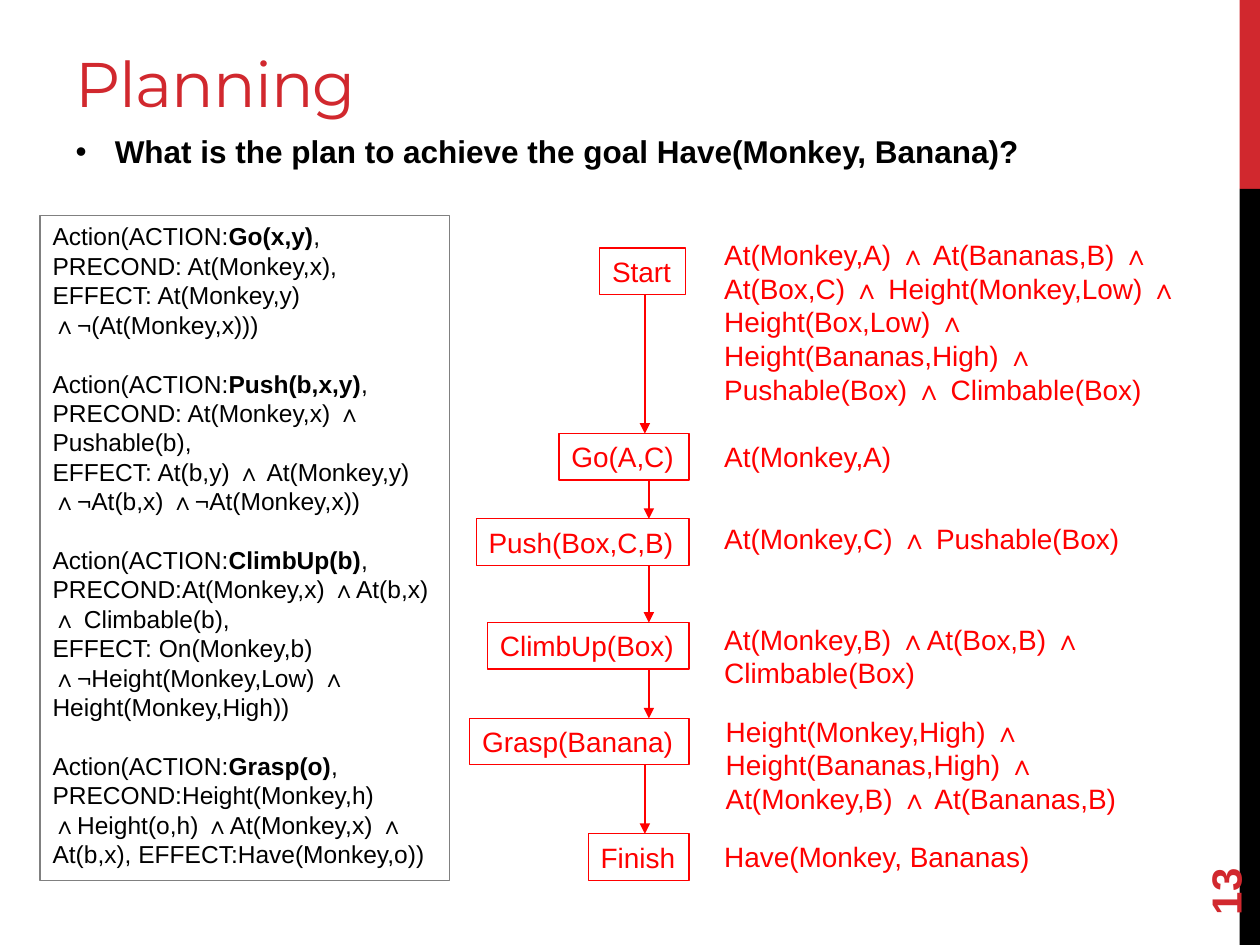
from dataclasses import dataclass
from itertools import pairwise

from lxml import etree
from pptx import Presentation
from pptx import util as u
from pptx.dml.color import RGBColor
from pptx.enum import shapes, text
from pptx.oxml import ns


@dataclass(frozen=True)
class Theme:
    accent: str = "D1282E"
    ink: str = "000000"
    plan: str = "FF0000"
    frame: str = "808080"
    font: str = "Arial"
    title_font: str = "Montserrat"
    title: int = 36
    number: int = 24
    goal: int = 18
    step: int = 16
    action: int = 14


class PlanSlide:
    """Holds the theme and the current slide, and draws each kind of element."""

    def __init__(self, prs, theme):
        self.theme = theme
        self.slide = prs.slides.add_slide(prs.slide_layouts[1])

    def format_run(self, r, size, color, bold=False, font=None):
        r.font.name = font or self.theme.font
        r.font.size = u.Pt(size)
        r.font.bold = bold
        r.font.color.rgb = RGBColor.from_string(color)

    def place(self, sp, left, top, width, height):
        sp.left, sp.top = u.Cm(left), u.Cm(top)
        sp.width, sp.height = u.Cm(width), u.Cm(height)

    def title(self, words, *box):
        sp = self.slide.shapes.title
        self.place(sp, *box)
        tf = sp.text_frame
        tf.text = words
        tf.vertical_anchor = text.MSO_ANCHOR.BOTTOM
        p = tf.paragraphs[0]
        p.alignment = text.PP_ALIGN.LEFT
        self.format_run(p.runs[0], self.theme.title, self.theme.accent, font=self.theme.title_font)
        p.runs[0].font._element.set("spc", "-60")

    def goal(self, words, *box):
        sp = self.slide.placeholders[1]
        self.place(sp, *box)
        tf = sp.text_frame
        tf.text = words
        p = tf.paragraphs[0]
        p.space_after = u.Pt(6)
        pPr = p._p.get_or_add_pPr()
        pPr.set("marL", str(u.Cm(0.79)))
        pPr.set("indent", str(u.Cm(-0.79)))
        etree.SubElement(pPr, ns.qn("a:buChar")).set("char", "•")
        self.format_run(p.runs[0], self.theme.goal, self.theme.ink, bold=True)

    def rect(self, box, fill=None, line=None):
        sp = self.slide.shapes.add_shape(shapes.MSO_SHAPE.RECTANGLE, *map(u.Cm, box))
        sp.shadow.inherit = False
        if fill:
            sp.fill.solid()
            sp.fill.fore_color.rgb = RGBColor.from_string(fill)
        else:
            sp.fill.background()
        if line:
            sp.line.color.rgb = RGBColor.from_string(line)
            sp.line.width = u.Pt(0.75)
        else:
            sp.line.fill.background()
        return sp

    def step(self, words, *box):
        sp = self.rect(box, line=self.theme.plan)
        self.set_words(sp, words, self.theme.step, self.theme.plan, wrap=False)
        return sp

    def label(self, words, *box):
        sp = self.slide.shapes.add_textbox(*map(u.Cm, box))
        self.set_words(sp, words, self.theme.step, self.theme.plan)

    def set_words(self, sp, words, size, color, wrap=True):
        tf = sp.text_frame
        tf.text = words
        tf.word_wrap = wrap
        tf.auto_size = text.MSO_AUTO_SIZE.SHAPE_TO_FIT_TEXT
        tf.vertical_anchor = text.MSO_ANCHOR.TOP
        for p in tf.paragraphs:
            p.alignment = text.PP_ALIGN.LEFT
            for r in p.runs:
                self.format_run(r, size, color)

    def actions(self, schemas, *box):
        sp = self.rect(box, line=self.theme.frame)
        tf = sp.text_frame
        self.set_words(sp, "\n".join(words for _, words in schemas),
                       self.theme.action, self.theme.ink)
        heads = [p for p in tf.paragraphs if p.text.startswith("Action")]
        for i, (p, (name, _)) in enumerate(zip(heads, schemas)):
            before, after = p.text.split(name)
            p.clear()
            for part in (before, name, after):
                r = p.add_run()
                r.text = part
                self.format_run(r, self.theme.action, self.theme.ink, bold=part == name)
            if i:
                p.space_before = u.Pt(16.8)

    def arrow(self, x, top, bottom):
        line = self.slide.shapes.add_connector(
            shapes.MSO_CONNECTOR.STRAIGHT, u.Cm(x), top, u.Cm(x), bottom)
        line.line.color.rgb = RGBColor.from_string(self.theme.plan)
        line.line.width = u.Pt(1)
        etree.SubElement(line.line._get_or_add_ln(), ns.qn("a:tailEnd")).set("type", "triangle")
        etree.SubElement(line._element.spPr, ns.qn("a:effectLst"))

    def number(self, words, *box):
        sp = self.slide.shapes.add_textbox(*map(u.Cm, box))
        sp.rotation = 270
        tf = sp.text_frame
        tf.text = words
        tf.word_wrap = True
        tf.vertical_anchor = text.MSO_ANCHOR.MIDDLE
        self.format_run(tf.paragraphs[0].runs[0], self.theme.number, self.theme.accent, bold=True)


ACTIONS = [
    ("Go(x,y)", "Action(ACTION:Go(x,y),\nPRECOND: At(Monkey,x),\n"
     "EFFECT: At(Monkey,y) ∧¬(At(Monkey,x)))"),
    ("Push(b,x,y)", "Action(ACTION:Push(b,x,y),\nPRECOND: At(Monkey,x) ∧ Pushable(b),\n"
     "EFFECT: At(b,y) ∧ At(Monkey,y) ∧¬At(b,x) ∧¬At(Monkey,x))"),
    ("ClimbUp(b)", "Action(ACTION:ClimbUp(b),\nPRECOND:At(Monkey,x) ∧At(b,x) ∧ Climbable(b),\n"
     "EFFECT: On(Monkey,b) ∧¬Height(Monkey,Low) ∧ Height(Monkey,High))"),
    ("Grasp(o)", "Action(ACTION:Grasp(o), PRECOND:Height(Monkey,h) ∧Height(o,h) "
     "∧At(Monkey,x) ∧ At(b,x), EFFECT:Have(Monkey,o))"),
]
STEPS = [
    ("Start", 12.09, 5, 1.73),
    ("Go(A,C)", 11.27, 8.74, 2.62),
    ("Push(Box,C,B)", 9.6, 10.46, 4.29),
    ("ClimbUp(Box)", 9.83, 12.55, 4.06),
    ("Grasp(Banana)", 9.47, 14.48, 4.42),
    ("Finish", 11.86, 16.81, 2.03),
]
CONDITIONS = [
    ("At(Monkey,A) ∧ At(Bananas,B) ∧ At(Box,C) ∧ Height(Monkey,Low) ∧ Height(Box,Low) "
     "∧ Height(Bananas,High) ∧ Pushable(Box) ∧ Climbable(Box)", 14.35, 4.67, 10.34, 3.68),
    ("At(Monkey,A)", 14.35, 8.74, 4.04, 0.94),
    ("At(Monkey,C) ∧ Pushable(Box)", 14.35, 10.39, 8.53, 0.94),
    ("At(Monkey,B) ∧At(Box,B) ∧ Climbable(Box)", 14.35, 12.42, 8.53, 1.63),
    ("Height(Monkey,High) ∧ Height(Bananas,High) ∧ At(Monkey,B) ∧ At(Bananas,B)",
     14.38, 14.27, 8.53, 2.31),
    ("Have(Monkey, Bananas)", 14.35, 16.79, 6.73, 0.94),
]
ARROW_X = [13, 13.08, 13.08, 13.08, 13]


def main():
    prs = Presentation()
    prs.slide_width, prs.slide_height = u.Cm(25.4), u.Cm(19.05)
    theme = Theme()
    s = PlanSlide(prs, theme)
    s.rect((24.99, 0, 0.41, 3.81), fill=theme.accent)
    s.rect((24.99, 3.81, 0.41, 15.24), fill=theme.ink)
    s.title("Planning", 1.27, -0.64, 20.93, 3.18)
    s.goal("What is the plan to achieve the goal Have(Monkey, Banana)?", 1.27, 2.54, 21.62, 1.24)
    s.number("13", 22.86, 16.36, 3.66, 1.02)
    s.actions(ACTIONS, 0.81, 4.34, 8.26, 13.41)
    for condition in CONDITIONS:
        s.label(*condition)
    steps = [s.step(words, left, top, width, 0.94) for words, left, top, width in STEPS]
    for x, (upper, lower) in zip(ARROW_X, pairwise(steps)):
        s.arrow(x, upper.top + upper.height, lower.top)
    prs.save("out.pptx")


if __name__ == "__main__":
    main()
